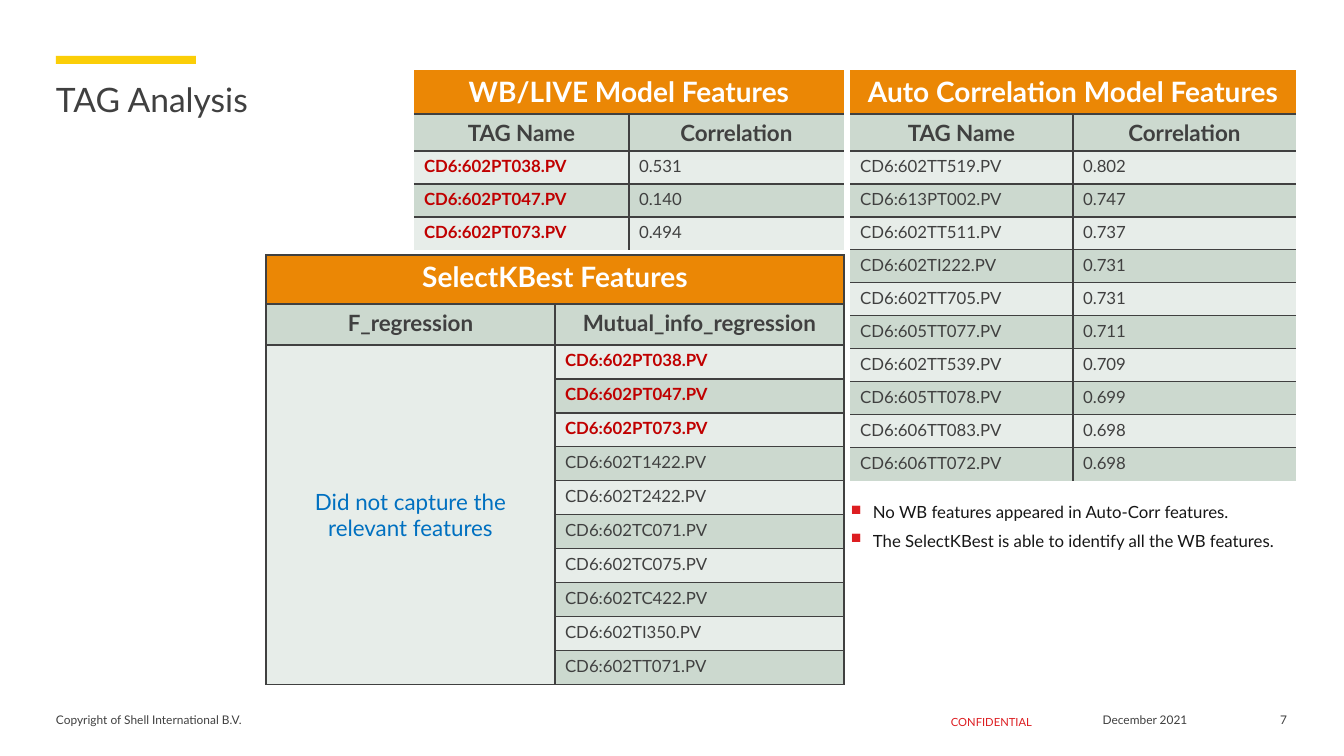
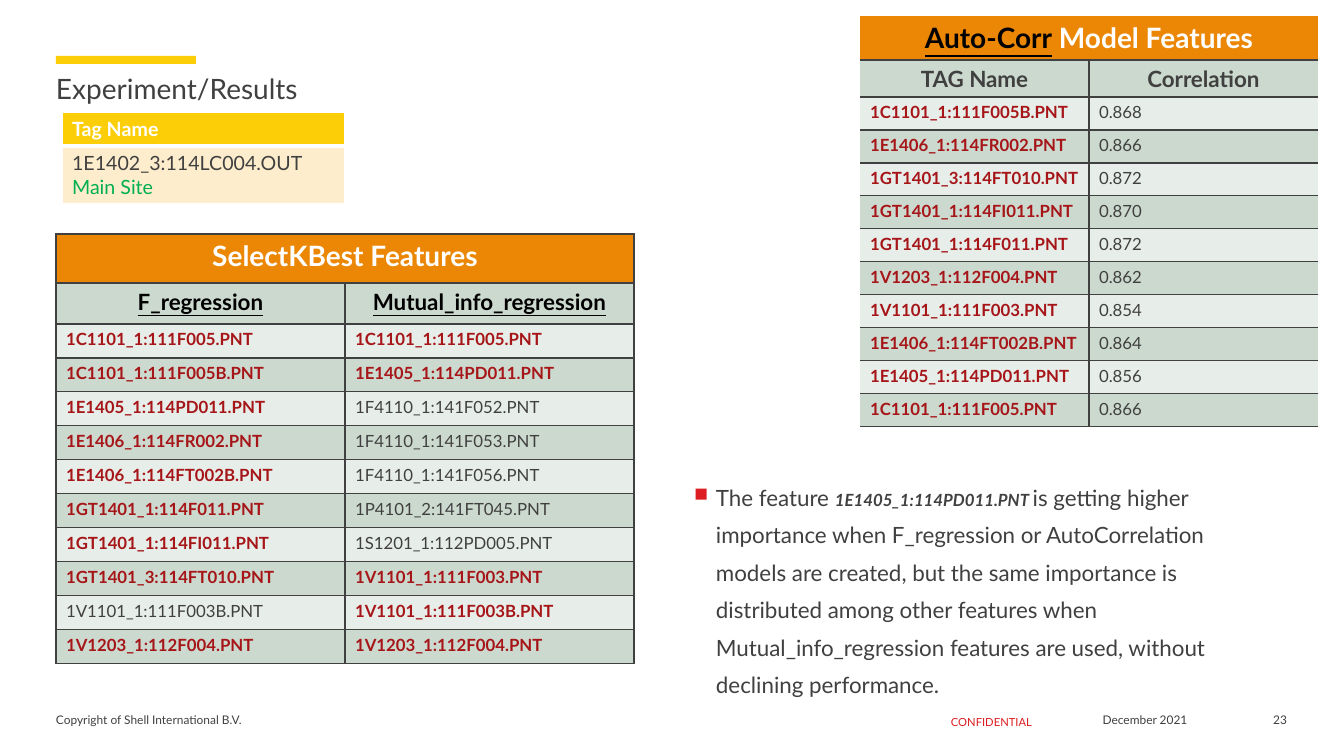
"""Build the two slides on tag analysis and experiment results."""
from collections.abc import Collection, Sequence
from dataclasses import dataclass
from typing import Optional

from lxml import etree
from pptx import Presentation
from pptx.dml.color import RGBColor as Color
from pptx.enum.shapes import MSO_SHAPE
from pptx.enum.text import MSO_ANCHOR as Anchor, PP_ALIGN as Align
from pptx.oxml.ns import qn
from pptx.util import Emu, Pt

EMU_PER_PX = 914400 / 100.8
FONT = "Lato"
WHITE = Color(0xFF, 0xFF, 0xFF)
BLACK = Color(0x00, 0x00, 0x00)
INK = Color(0x16, 0x16, 0x16)
GREY = Color(0x40, 0x40, 0x40)
YELLOW = Color(0xFB, 0xCE, 0x07)
CREAM = Color(0xFD, 0xED, 0xCC)
ORANGE = Color(0xEB, 0x87, 0x05)
DARK_BAND = Color(0xCC, 0xD9, 0xCF)
LIGHT_BAND = Color(0xE7, 0xED, 0xE9)
RED = Color(0xDD, 0x1D, 0x21)
HIT_RED = Color(0xC0, 0x00, 0x00)
HIT_MAROON = Color(0xA6, 0x16, 0x19)
BLUE = Color(0x00, 0x70, 0xC0)
GREEN = Color(0x00, 0xB0, 0x50)

SIDES = {"L": (0, -1), "R": (0, 1), "T": (-1, 0), "B": (1, 0)}


@dataclass(frozen=True)
class Run:
    text: str
    size: float
    color: Color = GREY
    bold: bool = False
    italic: bool = False
    underline: bool = False


@dataclass(frozen=True)
class Box:
    left: int
    top: int
    width: int
    height: int

    def emu(self) -> tuple[Emu, ...]:
        return tuple(px(n) for n in (self.left, self.top, self.width, self.height))


@dataclass(frozen=True)
class Column:
    """A header over tags; a single text fills the whole column."""
    header: Run
    texts: Sequence[str]
    hits: Collection[int] = ()


@dataclass(frozen=True)
class FeatureTable:
    left: int
    top: int
    column_width: int
    row_heights: tuple[int, int, int]
    title: tuple[Run, ...]
    columns: tuple[Column, ...]
    hit_color: Color
    outer_sides: str = ""


def px(length: int) -> Emu:
    return Emu(round(length * EMU_PER_PX))


def write(paragraph, runs: Sequence[Run], align=Align.LEFT) -> None:
    paragraph.alignment = align
    for item in runs:
        run = paragraph.add_run()
        run.text = item.text
        font = run.font
        font.name, font.size = FONT, Pt(item.size)
        font.bold, font.italic, font.underline = item.bold, item.italic, item.underline
        font.color.rgb = item.color


def add_text(slide, box: Box, paragraphs: Sequence[Sequence[Run]],
             align=Align.LEFT, bullets: bool = False) -> None:
    frame = slide.shapes.add_textbox(*box.emu()).text_frame
    frame.word_wrap = True
    frame.margin_left = frame.margin_top = frame.margin_right = frame.margin_bottom = 0
    for index, runs in enumerate(paragraphs):
        paragraph = frame.add_paragraph() if index else frame.paragraphs[0]
        if bullets:
            paragraph.line_spacing = 1.4
            add_bullet(paragraph)
        write(paragraph, runs, align)


def add_bullet(paragraph) -> None:
    properties = paragraph._p.get_or_add_pPr()
    properties.set("marL", str(px(22)))
    properties.set("indent", str(-px(22)))
    color = etree.SubElement(properties, qn("a:buClr"))
    etree.SubElement(color, qn("a:srgbClr"), val=str(RED))
    etree.SubElement(properties, qn("a:buSzPct"), val="85000")
    etree.SubElement(properties, qn("a:buChar"), char="■")


def set_edge(cell, side: str, color: Optional[Color], width: float = 1) -> None:
    properties = cell._tc.get_or_add_tcPr()
    line = etree.SubElement(properties, qn(f"a:ln{side}"), w=str(Pt(width)))
    if color is None:
        etree.SubElement(line, qn("a:noFill"))
    else:
        fill = etree.SubElement(line, qn("a:solidFill"))
        etree.SubElement(fill, qn("a:srgbClr"), val=str(color))


def fill_cell(cell, color: Color) -> None:
    cell.fill.solid()
    cell.fill.fore_color.rgb = color


def new_table(slide, left: int, top: int, widths: Sequence[int], heights: Sequence[int]):
    box = Box(left, top, sum(widths), sum(heights))
    table = slide.shapes.add_table(len(heights), len(widths), *box.emu()).table
    table.first_row = table.horz_banding = False
    for column, width in zip(table.columns, widths):
        column.width = px(width)
    for row, height in zip(table.rows, heights):
        row.height = px(height)
    return table


def draw_grid(table, outer_sides: str) -> None:
    row_count, column_count = len(table.rows), len(table.columns)
    for row in range(row_count):
        for column in range(column_count):
            cell = table.cell(row, column)
            for side, (down, across) in SIDES.items():
                next_row = row + (cell.span_height if down > 0 else down)
                next_column = column + (cell.span_width if across > 0 else across)
                if 0 <= next_row < row_count and 0 <= next_column < column_count:
                    other = table.cell(next_row, next_column)
                    visible = not (is_merged(cell) and is_merged(other))
                else:
                    visible = side in outer_sides
                set_edge(cell, side, GREY if visible else None)


def is_merged(cell) -> bool:
    return cell.is_merge_origin or cell.is_spanned


def add_feature_table(slide, spec: FeatureTable) -> None:
    title_height, header_height, tag_height = spec.row_heights
    tag_count = max(len(column.texts) for column in spec.columns)
    heights = [title_height, header_height] + [tag_height] * tag_count
    table = new_table(slide, spec.left, spec.top,
                      [spec.column_width] * len(spec.columns), heights)
    table.cell(0, 0).merge(table.cell(0, len(spec.columns) - 1))
    for index, column in enumerate(spec.columns):
        if len(column.texts) == 1:
            table.cell(2, index).merge(table.cell(tag_count + 1, index))
    draw_grid(table, spec.outer_sides)
    for row in range(len(heights)):
        for index in range(len(spec.columns)):
            band = DARK_BAND if row % 2 else LIGHT_BAND
            fill_cell(table.cell(row, index), band if row else ORANGE)
    write(table.cell(0, 0).text_frame.paragraphs[0], spec.title, Align.CENTER)
    for index, column in enumerate(spec.columns):
        write(table.cell(1, index).text_frame.paragraphs[0], [column.header], Align.CENTER)
        if len(column.texts) == 1:
            note = table.cell(2, index)
            note.vertical_anchor = Anchor.MIDDLE
            write(note.text_frame.paragraphs[0], [Run(column.texts[0], 16, BLUE)], Align.CENTER)
            continue
        for row, text in enumerate(column.texts):
            hit = row in column.hits
            run = Run(text, 12, spec.hit_color if hit else GREY, bold=hit)
            write(table.cell(row + 2, index).text_frame.paragraphs[0], [run])


def add_tag_table(slide) -> None:
    table = new_table(slide, 62, 112, [283], [34, 58])
    contents = (
        (YELLOW, [Run("Tag Name", 14, WHITE, bold=True)]),
        (CREAM, [Run("1E1402_3:114LC004.OUT", 14), Run("Main Site", 14, GREEN)]),
    )
    for row, (color, lines) in enumerate(contents):
        cell = table.cell(row, 0)
        cell.vertical_anchor = Anchor.MIDDLE
        for side in SIDES:
            between = (row, side) in ((0, "B"), (1, "T"))
            set_edge(cell, side, WHITE, 3 if between else 1)
        fill_cell(cell, color)
        for index, run in enumerate(lines):
            frame = cell.text_frame
            write(frame.add_paragraph() if index else frame.paragraphs[0], [run])


def new_slide(presentation, title: Run, title_top: int, number: int):
    slide = presentation.slides.add_slide(presentation.slide_layouts[6])
    bar = slide.shapes.add_shape(MSO_SHAPE.RECTANGLE, *Box(56, 56, 140, 8).emu())
    bar.shadow.inherit = False
    bar.fill.solid()
    bar.fill.fore_color.rgb = YELLOW
    bar.line.fill.background()
    footers = (
        (Box(56, 713, 370, 26), Run("Copyright of Shell International B.V.", 8.5), Align.LEFT),
        (Box(932, 715, 119, 19), Run("CONFIDENTIAL", 8, RED), Align.CENTER),
        (Box(1066, 713, 158, 26), Run("December 2021", 8.5), Align.CENTER),
        (Box(1248, 713, 39, 26), Run(str(number), 8.5), Align.RIGHT),
    )
    for box, run, align in footers:
        add_text(slide, box, [[run]], align)
    add_text(slide, Box(56, title_top, 1232, 83), [[title]])
    return slide


def header(text: str, linked: bool = False) -> Run:
    return Run(text, 16, BLACK if linked else GREY, bold=True, underline=linked)


def table_title(text: str) -> Run:
    return Run(text, 20, WHITE, bold=True)


def add_tag_analysis(presentation) -> None:
    slide = new_slide(presentation, Run("TAG Analysis", 24), 79, 7)
    live_tags = ("CD6:602PT038.PV", "CD6:602PT047.PV", "CD6:602PT073.PV")
    add_feature_table(slide, FeatureTable(
        414, 70, 215, (44, 37, 33), (table_title("WB/LIVE Model Features"),),
        (Column(header("TAG Name"), live_tags, range(3)),
         Column(header("Correlation"), ("0.531", "0.140", "0.494"))), HIT_RED))
    add_feature_table(slide, FeatureTable(
        850, 70, 223, (44, 37, 33), (table_title("Auto Correlation Model Features"),),
        (Column(header("TAG Name"), (
            "CD6:602TT519.PV", "CD6:613PT002.PV", "CD6:602TT511.PV", "CD6:602TI222.PV",
            "CD6:602TT705.PV", "CD6:605TT077.PV", "CD6:602TT539.PV", "CD6:605TT078.PV",
            "CD6:606TT083.PV", "CD6:606TT072.PV")),
         Column(header("Correlation"), (
             "0.802", "0.747", "0.737", "0.731", "0.731",
             "0.711", "0.709", "0.699", "0.698", "0.698"))), HIT_RED))
    add_feature_table(slide, FeatureTable(
        266, 255, 289, (49, 41, 34), (table_title("SelectKBest Features"),),
        (Column(header("F_regression"), ("Did not capture the relevant features",)),
         Column(header("Mutual_info_regression"), live_tags + (
             "CD6:602T1422.PV", "CD6:602T2422.PV", "CD6:602TC071.PV", "CD6:602TC075.PV",
             "CD6:602TC422.PV", "CD6:602TI350.PV", "CD6:602TT071.PV"), range(3))),
        HIT_RED, "LRTB"))
    add_text(slide, Box(851, 494, 446, 83), [
        [Run("No WB features appeared in Auto-Corr features.", 12, INK)],
        [Run("The SelectKBest is able to identify all the WB features.", 12, INK)],
    ], bullets=True)


def add_results(presentation) -> None:
    slide = new_slide(presentation, Run("Experiment/Results", 20), 71, 23)
    add_tag_table(slide)
    add_feature_table(slide, FeatureTable(
        860, 16, 229, (44, 37, 33),
        (Run("Auto-Corr", 20, BLACK, bold=True, underline=True), table_title(" Model Features")),
        (Column(header("TAG Name"), (
            "1C1101_1:111F005B.PNT", "1E1406_1:114FR002.PNT", "1GT1401_3:114FT010.PNT",
            "1GT1401_1:114FI011.PNT", "1GT1401_1:114F011.PNT", "1V1203_1:112F004.PNT",
            "1V1101_1:111F003.PNT", "1E1406_1:114FT002B.PNT", "1E1405_1:114PD011.PNT",
            "1C1101_1:111F005.PNT"), range(10)),
         Column(header("Correlation"), (
             "0.868", "0.866", "0.872", "0.870", "0.872",
             "0.862", "0.854", "0.864", "0.856", "0.866"))), HIT_MAROON, "B"))
    add_feature_table(slide, FeatureTable(
        56, 234, 289, (49, 41, 34), (table_title("SelectKBest Features"),),
        (Column(header("F_regression", linked=True), (
            "1C1101_1:111F005.PNT", "1C1101_1:111F005B.PNT", "1E1405_1:114PD011.PNT",
            "1E1406_1:114FR002.PNT", "1E1406_1:114FT002B.PNT", "1GT1401_1:114F011.PNT",
            "1GT1401_1:114FI011.PNT", "1GT1401_3:114FT010.PNT", "1V1101_1:111F003B.PNT",
            "1V1203_1:112F004.PNT"), (0, 1, 2, 3, 4, 5, 6, 7, 9)),
         Column(header("Mutual_info_regression", linked=True), (
             "1C1101_1:111F005.PNT", "1E1405_1:114PD011.PNT", "1F4110_1:141F052.PNT",
             "1F4110_1:141F053.PNT", "1F4110_1:141F056.PNT", "1P4101_2:141FT045.PNT",
             "1S1201_1:112PD005.PNT", "1V1101_1:111F003.PNT", "1V1101_1:111F003B.PNT",
             "1V1203_1:112F004.PNT"), (0, 1, 7, 8, 9))), HIT_MAROON, "LRTB"))
    add_text(slide, Box(694, 473, 575, 224), [[
        Run("The feature ", 16),
        Run("1E1405_1:114PD011.PNT ", 12, bold=True, italic=True),
        Run("is getting higher importance when F_regression or AutoCorrelation models are "
            "created, but the same importance is distributed among other features when "
            "Mutual_info_regression features are used, without declining performance.", 16),
    ]], bullets=True)


def main() -> None:
    presentation = Presentation()
    presentation.slide_width, presentation.slide_height = px(1344), px(756)
    add_tag_analysis(presentation)
    add_results(presentation)
    presentation.save("out.pptx")


if __name__ == "__main__":
    main()
